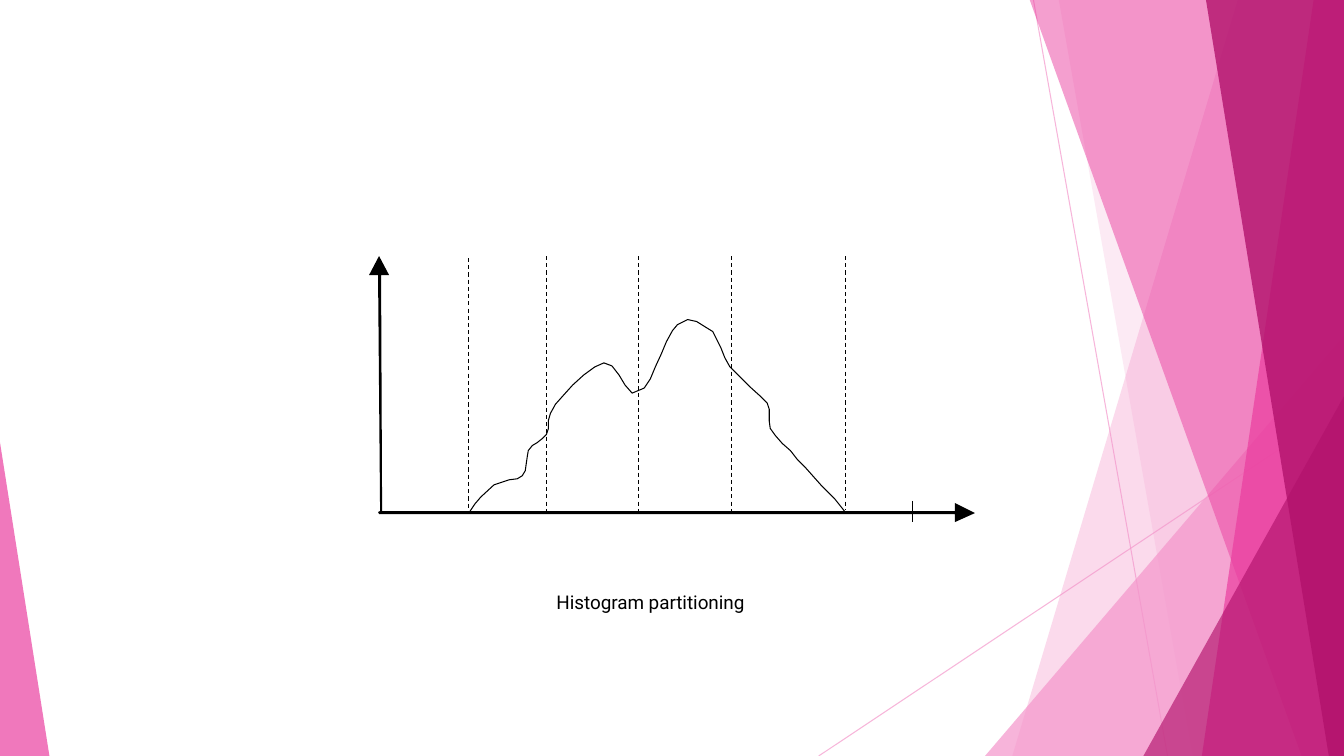
from dataclasses import dataclass

from lxml import etree
from pptx import Presentation
from pptx.dml.color import RGBColor
from pptx.enum.dml import MSO_LINE
from pptx.enum.shapes import MSO_CONNECTOR, MSO_SHAPE
from pptx.enum.text import MSO_AUTO_SIZE
from pptx.oxml.ns import qn
from pptx.util import Inches, Pt

STRAIGHT = MSO_CONNECTOR.STRAIGHT
TRIANGLE = MSO_SHAPE.ISOSCELES_TRIANGLE
DASH = MSO_LINE.DASH
FIT_SHAPE = MSO_AUTO_SIZE.SHAPE_TO_FIT_TEXT

PALE_PINK = RGBColor(0xF4, 0x96, 0xCB)
PINK = RGBColor(0xEA, 0x3C, 0x9E)
MAGENTA = RGBColor(0xB2, 0x12, 0x6C)
BLACK = RGBColor(0, 0, 0)

WIDTH, HEIGHT = 13.33, 7.5
BAND_TOP = -0.01
BASELINE = 5.09
CHART_TOP = 2.54

Point = tuple[float, float]


@dataclass
class Band:
    top_left: float
    bottom_left: float
    color: RGBColor
    opacity: int


@dataclass
class Wedge:
    left: float
    top: float
    width: float
    apex: float
    color: RGBColor
    opacity: int


@dataclass
class Rule:
    start: Point
    end: Point
    color: RGBColor = BLACK
    opacity: int = 100
    dashed: bool = False


ACCENT_RULES = [
    Rule((10.25, 0), (11.58, HEIGHT), PALE_PINK, 69),
    Rule((WIDTH, 4.03), (8.12, HEIGHT), PALE_PINK, 69),
]
DECORATIONS = [
    Band(12.28, 10.04, PALE_PINK, 35),
    Band(10.5, 11.83, PALE_PINK, 20),
    Wedge(9.77, 3.33, 3.56, 1, PALE_PINK, 71),
    Band(10.21, 12.91, PINK, 49),
    Band(13.03, 11.92, PINK, 69),
    Band(11.96, 13.18, MAGENTA, 80),
    Wedge(11.34, 3.93, 1.99, 1, MAGENTA, 65),
    Wedge(0, 4.39, 0.49, 0, PINK, 69),
]
PARTITIONS = [
    Rule((x, top), (x, bottom), dashed=True)
    for x, top, bottom in [
        (4.65, 2.56, BASELINE),
        (5.42, CHART_TOP, BASELINE),
        (6.33, CHART_TOP, BASELINE),
        (7.26, CHART_TOP, BASELINE),
        (8.39, CHART_TOP, 5.06),
    ]
]
AXIS_TICK = Rule((9.05, 4.97), (9.05, 5.18))
AXES = [
    (9.67, 5.09), (9.47, 4.99), (9.47, 5.07), (3.79, 5.07), (3.78, 2.73),
    (3.86, 2.73), (3.76, 2.54), (3.66, 2.73), (3.75, 2.73), (3.77, 5.07),
    (3.75, 5.08), (3.76, 5.1), (9.47, 5.1), (9.47, 5.18),
]
HISTOGRAM = [
    (4.65, 5.09), (4.71, 5), (4.77, 4.93), (4.9, 4.81), (5.05, 4.76),
    (5.13, 4.75), (5.18, 4.72), (5.21, 4.67), (5.22, 4.6), (5.23, 4.53),
    (5.24, 4.47), (5.28, 4.42), (5.33, 4.39), (5.38, 4.35), (5.42, 4.31),
    (5.44, 4.25), (5.44, 4.17), (5.46, 4.1), (5.51, 4.01), (5.59, 3.92),
    (5.68, 3.82), (5.79, 3.72), (5.9, 3.64), (5.99, 3.6), (6.07, 3.63),
    (6.14, 3.72), (6.2, 3.82), (6.27, 3.9), (6.39, 3.85), (6.45, 3.76),
    (6.5, 3.64), (6.56, 3.51), (6.61, 3.39), (6.67, 3.28), (6.72, 3.22),
    (6.82, 3.17), (6.91, 3.19), (7.07, 3.29), (7.15, 3.45), (7.19, 3.55),
    (7.24, 3.64), (7.33, 3.73), (7.43, 3.83), (7.53, 3.92), (7.61, 4),
    (7.63, 4.06), (7.63, 4.18), (7.64, 4.25), (7.69, 4.32), (7.76, 4.4),
    (7.84, 4.47), (7.91, 4.56), (7.99, 4.64), (8.07, 4.73), (8.15, 4.82),
    (8.22, 4.89), (8.28, 4.95), (8.32, 5), (8.36, 5.05), (8.39, 5.09),
]


def set_opacity(shape, percent: int) -> None:
    if percent < 100:
        for color in shape._element.iter(qn("a:srgbClr")):
            etree.SubElement(color, qn("a:alpha"), val=str(percent * 1000))


def paint(shape, color: RGBColor, opacity: int = 100) -> None:
    shape.shadow.inherit = False
    shape.fill.solid()
    shape.fill.fore_color.rgb = color
    shape.line.fill.background()
    set_opacity(shape, opacity)


def add_path(page, points: list[Point], close: bool):
    start, *rest = [(Inches(x), Inches(y)) for x, y in points]
    builder = page.shapes.build_freeform(*start)
    builder.add_line_segments(rest, close=close)
    return builder.convert_to_shape()


def add_rule(page, rule: Rule) -> None:
    ends = [Inches(value) for value in (*rule.start, *rule.end)]
    connector = page.shapes.add_connector(STRAIGHT, *ends)
    connector.line.color.rgb = rule.color
    connector.line.width = Pt(0.75)
    if rule.dashed:
        connector.line.dash_style = DASH
    set_opacity(connector, rule.opacity)
    etree.SubElement(connector._element.spPr, qn("a:effectLst"))


def add_decoration(page, item: Band | Wedge) -> None:
    if isinstance(item, Band):
        corners = [(item.top_left, BAND_TOP), (WIDTH, BAND_TOP),
                   (WIDTH, HEIGHT), (item.bottom_left, HEIGHT)]
        shape = add_path(page, corners, close=True)
    else:
        shape = page.shapes.add_shape(
            TRIANGLE, Inches(item.left), Inches(item.top),
            Inches(item.width), Inches(HEIGHT - item.top))
        shape.adjustments[0] = item.apex
    paint(shape, item.color, item.opacity)


def add_histogram(page) -> None:
    curve = add_path(page, HISTOGRAM, close=False)
    curve.shadow.inherit = False
    curve.fill.background()
    curve.line.color.rgb = BLACK
    curve.line.width = Pt(0.75)


def add_caption(page) -> None:
    box = page.shapes.add_textbox(
        Inches(5.42), Inches(5.81), Inches(2.56), Inches(0.33))
    frame = box.text_frame
    frame.word_wrap = True
    frame.auto_size = FIT_SHAPE
    frame.text = "Histogram partitioning"
    font = frame.paragraphs[0].runs[0].font
    font.name = "Roboto"
    font.size = Pt(13.5)
    font.color.rgb = BLACK


def main() -> None:
    deck = Presentation()
    deck.slide_width = Inches(WIDTH)
    deck.slide_height = Inches(HEIGHT)
    page = deck.slides.add_slide(deck.slide_layouts[6])
    for rule in ACCENT_RULES:
        add_rule(page, rule)
    for item in DECORATIONS:
        add_decoration(page, item)
    paint(add_path(page, AXES, close=True), BLACK)
    add_histogram(page)
    for rule in [*PARTITIONS, AXIS_TICK]:
        add_rule(page, rule)
    add_caption(page)
    deck.save("out.pptx")


if __name__ == "__main__":
    main()
